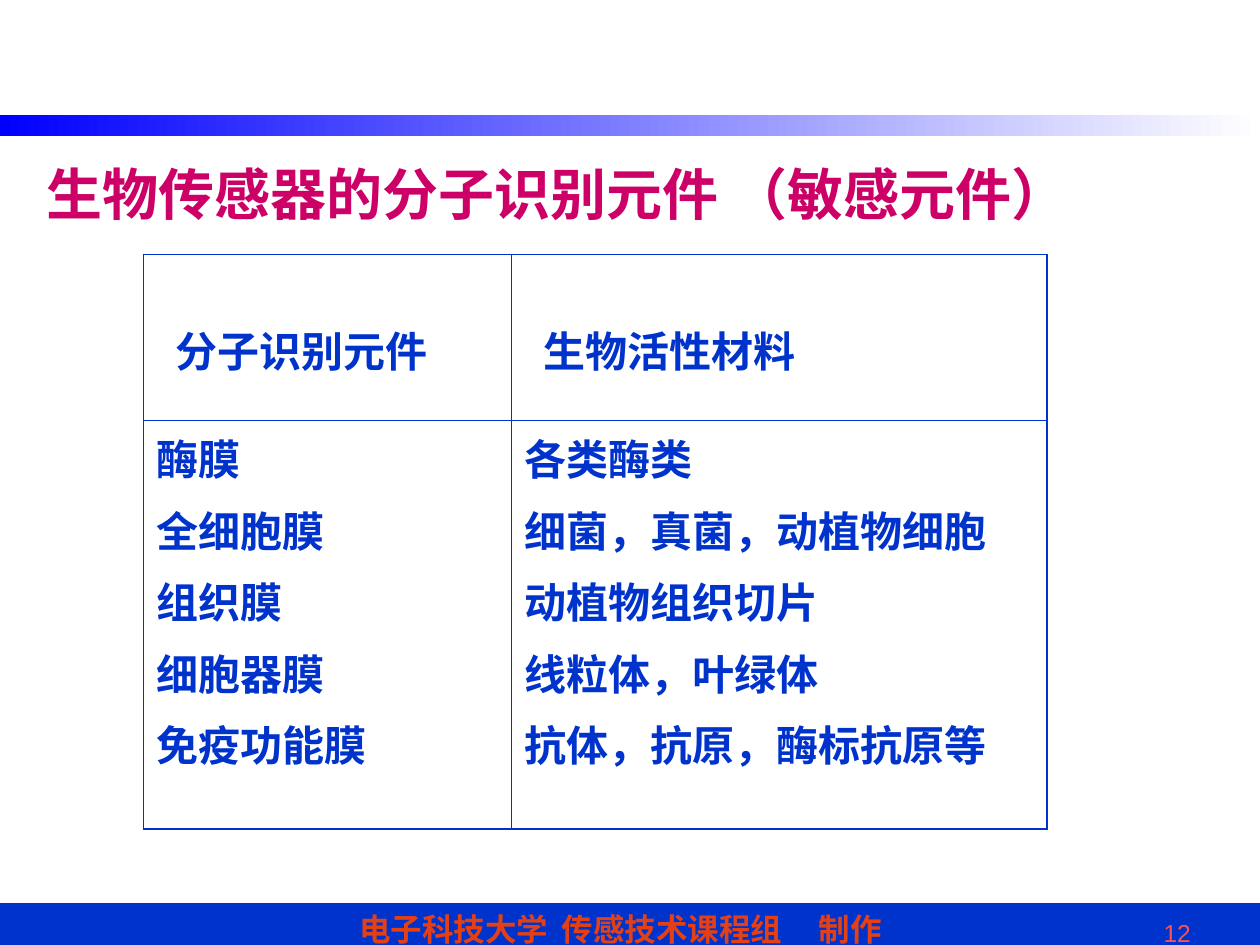
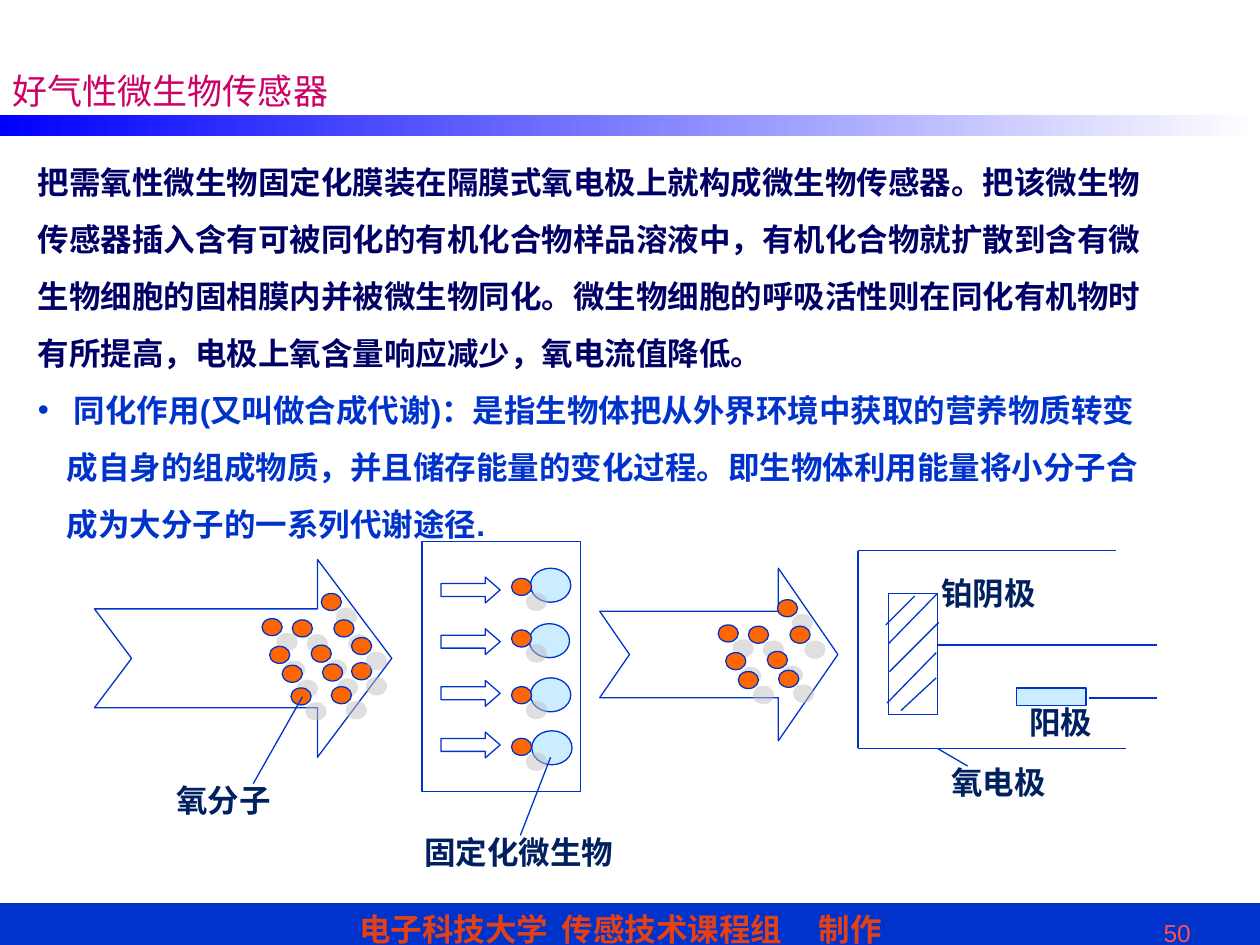
from lxml.etree import SubElement
from pptx import Presentation
from pptx.dml.color import RGBColor
from pptx.enum.shapes import MSO_CONNECTOR, MSO_SHAPE
from pptx.enum.text import MSO_ANCHOR, MSO_AUTO_SIZE, PP_ALIGN
from pptx.oxml.ns import qn
from pptx.util import Inches, Pt

COLUMNS, ROWS = 100, 75
BLUE, ORANGE, PALE, NAVY, PINK = "0033CC", "FF6600", "CCECFF", "002060", "CC0066"
CJK, SERIF, SANS = "Noto Sans CJK SC", "Times New Roman", "Arial"

TABLE_COLUMNS = [
    ("分子识别元件", ["酶膜", "全细胞膜", "组织膜", "细胞器膜", "免疫功能膜"]),
    ("生物活性材料", ["各类酶类", "细菌，真菌，动植物细胞", "动植物组织切片",
                "线粒体，叶绿体", "抗体，抗原，酶标抗原等"]),
]
PRINCIPLE = (
    "把需氧性微生物固定化膜装在隔膜式氧电极上就构成微生物传感器。"
    "把该微生物传感器插入含有可被同化的有机化合物样品溶液中，"
    "有机化合物就扩散到含有微生物细胞的固相膜内并被微生物同化。"
    "微生物细胞的呼吸活性则在同化有机物时有所提高，"
    "电极上氧含量响应减少，氧电流值降低。"
)
ASSIMILATION = (
    " 同化作用(又叫做合成代谢)：是指生物体把从外界环境中获取的营养物质"
    "转变成自身的组成物质，并且储存能量的变化过程。"
    "即生物体利用能量将小分子合成为大分子的一系列代谢途径."
)
CLUSTER = [(25.5, 47.1), (26.5, 49.2), (20.8, 49.1), (23.2, 49.2),
           (21.4, 51.3), (24.7, 51.2), (22.4, 52.8), (25.6, 52.7)]
SUPPLY_ONLY = [(27.9, 52.6), (27.9, 50.6), (23.1, 54.6), (26.3, 54.5)]
CLUSTER_SHIFT = (36.2, 0.5)
MICROBES = [(42.1, 45.1), (42, 49.5), (42.1, 53.8), (42.2, 58)]
MICROBE_OXYGEN = [45.9, 50, 54.5, 58.6]
ELECTRODE_LINES = [
    (68.1, 43.7, 68.1, 59.4), (68.1, 43.7, 88.6, 43.7), (68.1, 59.4, 89.4, 59.4),
    (74.4, 51.2, 91.8, 51.2), (86.4, 55.4, 91.8, 55.4),
]
HATCHING = [
    (72.6, 47.3, 70.3, 49.6), (74.4, 47.1, 70.5, 51.1), (74.5, 49.4, 70.6, 53.3),
    (74.3, 51.8, 70.4, 55.8), (74.3, 53.8, 71.5, 56.4),
]
LEADERS = [(20.1, 62.2, 24, 55.3), (41.3, 66.3, 43.7, 60.1), (76.8, 60.8, 74.4, 59.4)]
LABELS = [("氧分子", 13, 61.5, 9.5), ("固定化微生物", 32.7, 65.6, 17),
          ("铂阴极", 73.7, 45.1, 9.5), ("阳极", 80.7, 55.3, 7), ("氧电极", 74.5, 60.1, 9.5)]


def grid(*cells):
    """Turn grid cells, a hundredth of the slide's width each, into lengths."""
    return [Inches(cell * 10 / COLUMNS) for cell in cells]


def color(value):
    """Turn a hex string into a colour."""
    return RGBColor.from_string(value)


def add_text(para, text, size, hue, font=SANS, bold=True):
    """Add one formatted run to a paragraph."""
    span = para.add_run()
    span.text = text
    span.font.size, span.font.bold, span.font.name = Pt(size), bold, font
    span.font.color.rgb = color(hue)
    SubElement(span._r.get_or_add_rPr(), qn("a:ea"), typeface=CJK)


def set_frame(frame, anchor=MSO_ANCHOR.MIDDLE, wrap=True):
    """Fix the size, wrapping and anchor of a text frame."""
    frame.auto_size = MSO_AUTO_SIZE.NONE
    frame.word_wrap, frame.vertical_anchor = wrap, anchor
    return frame


def move(shape, place):
    """Move a shape to a place on the grid."""
    shape.left, shape.top, shape.width, shape.height = grid(*place)


def outline(shape, fill=None):
    """Give a shape the thin blue line, a flat fill or none, and no shadow."""
    shape.shadow.inherit = False
    shape.line.color.rgb, shape.line.width = color(BLUE), Pt(0.75)
    if fill:
        shape.fill.solid()
        shape.fill.fore_color.rgb = color(fill)
    else:
        shape.fill.background()
    return shape


def add_preset(page, kind, place, fill=None):
    """Add an outlined preset shape."""
    return outline(page.shapes.add_shape(kind, *grid(*place)), fill)


def add_line(page, ends):
    """Add a thin blue line."""
    line = page.shapes.add_connector(MSO_CONNECTOR.STRAIGHT, *grid(*ends))
    line.line.color.rgb, line.line.width = color(BLUE), Pt(0.75)
    SubElement(line.element.spPr, qn("a:effectLst"))


def add_oxygen(page, left, top):
    """Add an oxygen molecule with its grey offset shadow."""
    dot = add_preset(page, MSO_SHAPE.OVAL, (left, top, 1.6, 1.35), ORANGE)
    effects = dot.element.spPr.find(qn("a:effectLst"))
    shadow = SubElement(effects, qn("a:outerShdw"), dist=str(Pt(12.1)),
                        dir=str(45 * 60000), algn="ctr", rotWithShape="0")
    tone = SubElement(shadow, qn("a:srgbClr"), val="C0C0C0")
    SubElement(tone, qn("a:alpha"), val="50000")


def add_flow_arrow(page, left, top, width, height):
    """Add a wide arrow with a notched tail."""
    shares = [(0, 0.25), (0.75, 0.25), (0.75, 0), (1, 0.5),
              (0.75, 1), (0.75, 0.75), (0, 0.75), (0.125, 0.5)]
    points = [grid(left + x * width, top + y * height) for x, y in shares]
    builder = page.shapes.build_freeform(*points[0])
    builder.add_line_segments(points[1:], close=True)
    outline(builder.convert_to_shape())


def add_label(page, text, left, top, width):
    """Add a one-line diagram label."""
    box = page.shapes.add_textbox(*grid(left, top, width, 4))
    frame = set_frame(box.text_frame, wrap=False)
    add_text(frame.paragraphs[0], text, 18, NAVY, SERIF)


def add_bands(deck, page):
    """Build the footer and the gradient band and hand them to the master."""
    footer = add_preset(page, MSO_SHAPE.RECTANGLE, (0, 71.7, COLUMNS, 4), BLUE)
    frame = set_frame(footer.text_frame)
    frame.margin_left, frame.margin_top, frame.margin_bottom = grid(28.5, 0, 0)
    para = frame.paragraphs[0]
    para.alignment = PP_ALIGN.LEFT
    tabs = SubElement(para._p.get_or_add_pPr(), qn("a:tabLst"))
    for stop in grid(16.1, 36.5):
        SubElement(tabs, qn("a:tab"), pos=str(stop), algn="l")
    add_text(para, "电子科技大学\t传感技术课程组\t制作", 18, "E34115")

    band = add_preset(page, MSO_SHAPE.RECTANGLE, (0, 9.1, COLUMNS, 1.7))
    band.line.fill.background()
    band.fill.gradient()
    band.fill.gradient_angle = 0
    for stop, hue, position in zip(band.fill.gradient_stops, ("0000FF", "FFFFFF"), (0, 1)):
        stop.color.rgb, stop.position = color(hue), position
    for shape in (footer, band):
        deck.slide_master.shapes.element.append(shape.element)


def add_page(deck, layout, title, place, number, **style):
    """Add a slide with its title and page number."""
    page = deck.slides.add_slide(deck.slide_layouts[layout])
    move(page.shapes.title, place)
    para = set_frame(page.shapes.title.text_frame).paragraphs[0]
    para.alignment = PP_ALIGN.LEFT
    add_text(para, title, hue=PINK, **style)
    box = page.shapes.add_textbox(*grid(70.5, 72.4, 25, 2.6))
    para = set_frame(box.text_frame, MSO_ANCHOR.TOP).paragraphs[0]
    para.alignment = PP_ALIGN.RIGHT
    add_text(para, number, 14, "FF5050", bold=False)
    return page


def set_borders(cell, widths):
    """Set the left, right, top and bottom borders of a cell."""
    properties = cell._tc.get_or_add_tcPr()
    for index, (side, width) in enumerate(zip("LRTB", widths)):
        line = properties.makeelement(qn(f"a:ln{side}"), {"w": str(Pt(width))})
        fill = SubElement(line, qn("a:solidFill"))
        SubElement(fill, qn("a:srgbClr"), val=BLUE)
        properties.insert(index, line)


def fill_cell(cell, lines):
    """Write a cell's lines as paragraphs."""
    cell.fill.background()
    for index, text in enumerate(lines):
        para = cell.text_frame.add_paragraph() if index else cell.text_frame.paragraphs[0]
        para.space_before = Pt(6 if index else 0)
        add_text(para, text, 24, BLUE, CJK)


def add_material_table(page):
    """Add the table of recognition elements and active materials."""
    table = page.shapes.add_table(2, 2, *grid(11.4, 20.2, 71.7, 45.6)).table
    table.first_row = table.horz_banding = False
    table.columns[0].width, table.columns[1].width = grid(29.2, 42.5)
    table.rows[0].height, table.rows[1].height = grid(13.2, 32.4)
    outer, inner = 1.08, 0.45
    for column, (heading, entries) in enumerate(TABLE_COLUMNS):
        head, body = table.cell(0, column), table.cell(1, column)
        fill_cell(head, [heading])
        head.vertical_anchor = MSO_ANCHOR.MIDDLE
        head.margin_left, head.margin_top = grid(2.5, 2.3)
        fill_cell(body, entries)
        sides = (inner, outer) if column else (outer, inner)
        set_borders(head, (*sides, outer, inner))
        set_borders(body, (*sides, inner, outer))


def write_body(page):
    """Fill the body placeholder with the principle and a bulleted definition."""
    body = page.placeholders[1]
    move(body, (2, 10.9, 91.4, 32.5))
    frame = set_frame(body.text_frame, MSO_ANCHOR.TOP)
    principle, definition = frame.paragraphs[0], frame.add_paragraph()
    for para, hang in ((principle, 0), (definition, 2.3)):
        properties = para._p.get_or_add_pPr()
        indent = grid(hang)[0]
        properties.set("marL", str(indent))
        properties.set("indent", str(-indent))
        if hang:
            tint = SubElement(properties, qn("a:buClr"))
            SubElement(tint, qn("a:srgbClr"), val=BLUE)
            SubElement(properties, qn("a:buFont"), typeface=SANS)
            SubElement(properties, qn("a:buChar"), char="•")
        else:
            SubElement(properties, qn("a:buNone"))
        para.alignment = PP_ALIGN.LEFT
        para.space_before, para.line_spacing = Pt(0), Pt(32.6)
    add_text(principle, PRINCIPLE, 18, "000066", SERIF)
    add_text(definition, ASSIMILATION, 18, BLUE)


def draw_sensor(page):
    """Draw oxygen flowing through the microbe membrane to the electrode."""
    add_flow_arrow(page, 7.5, 44.4, 23.6, 15.7)
    for left, top in CLUSTER + SUPPLY_ONLY:
        add_oxygen(page, left, top)

    add_preset(page, MSO_SHAPE.RECTANGLE, (33.5, 43, 12.6, 19.8))
    for row, (left, top) in enumerate(MICROBES):
        add_preset(page, MSO_SHAPE.OVAL, (left, top, 3.2, 2.7), PALE)
        add_oxygen(page, 40.6, MICROBE_OXYGEN[row])
        arrow = add_preset(page, MSO_SHAPE.RIGHT_ARROW, (35, 45.8 + 4.1 * row, 4.7, 2.05))
        arrow.adjustments[1] = 0.575

    add_flow_arrow(page, 47.6, 45.1, 18.9, 13.7)
    for left, top in CLUSTER:
        add_oxygen(page, left + CLUSTER_SHIFT[0], top + CLUSTER_SHIFT[1])

    add_preset(page, MSO_SHAPE.RECTANGLE, (70.5, 47.1, 3.9, 9.6))
    add_preset(page, MSO_SHAPE.RECTANGLE, (80.7, 54.6, 5.5, 1.4), PALE)
    for ends in ELECTRODE_LINES + HATCHING + LEADERS:
        add_line(page, ends)
    for label in LABELS:
        add_label(page, *label)


def main():
    """Build and save the two slides."""
    deck = Presentation()
    deck.slide_width, deck.slide_height = grid(COLUMNS, ROWS)
    elements = add_page(deck, 5, "生物传感器的分子识别元件 （敏感元件）",
                        (2.7, 9.1, 93.4, 12.5), "12", size=32)
    add_bands(deck, elements)
    add_material_table(elements)
    microbes = add_page(deck, 1, "好气性微生物传感器", (0, 3.5, 62.6, 7.3), "50",
                        size=20, font=SERIF, bold=False)
    write_body(microbes)
    draw_sensor(microbes)
    deck.save("out.pptx")


if __name__ == "__main__":
    main()
